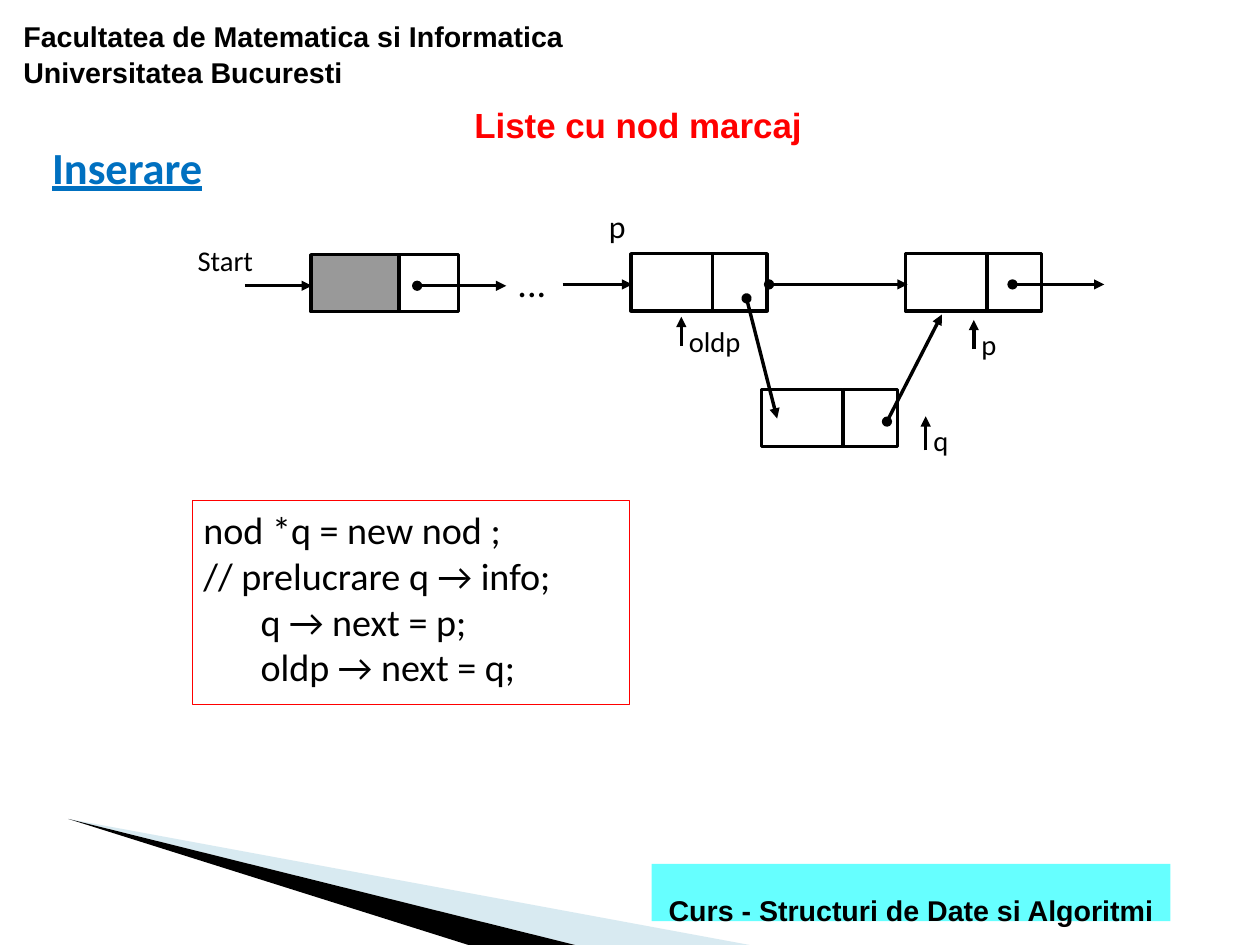
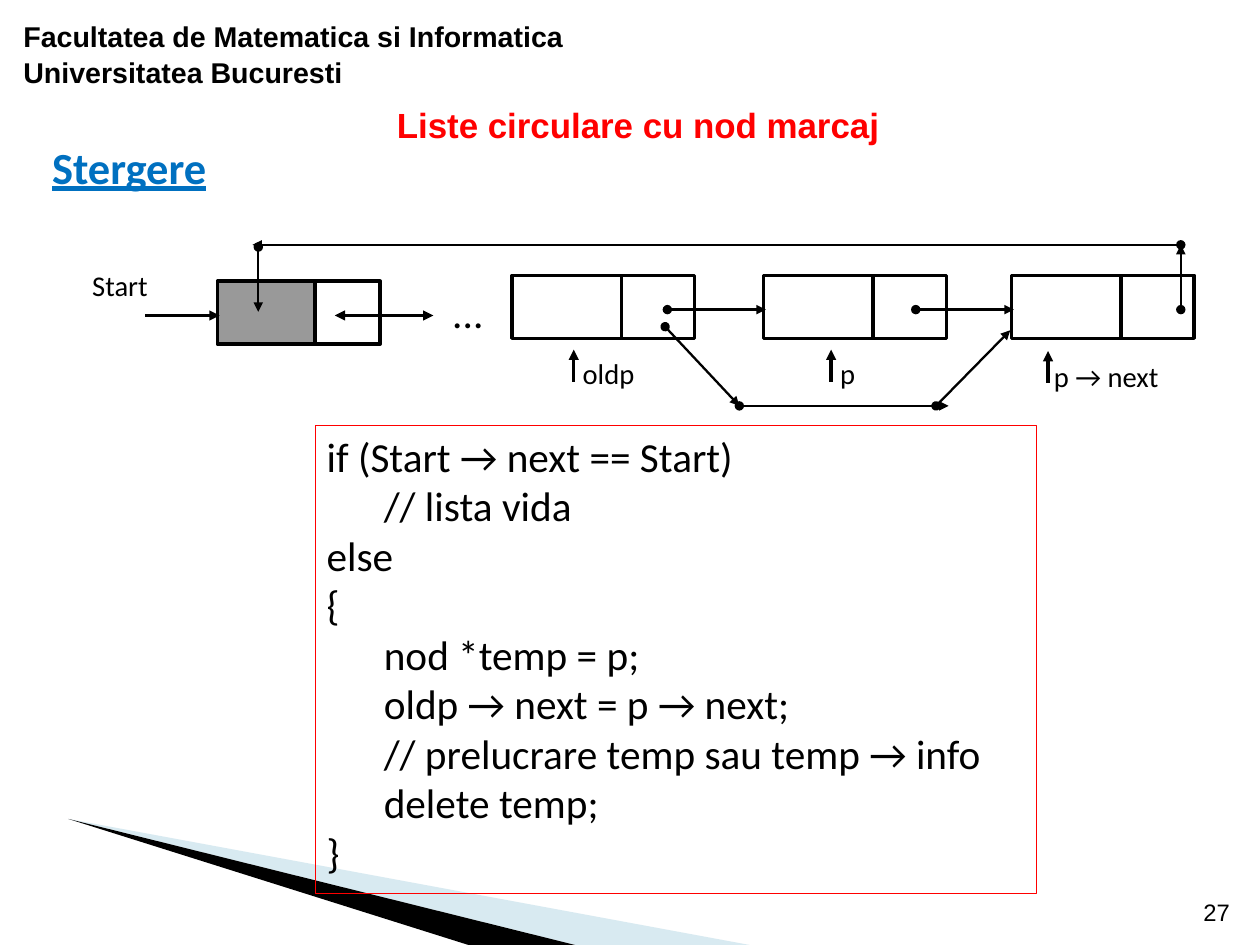
from dataclasses import dataclass
from typing import Optional

from lxml.etree import SubElement
from pptx import Presentation
from pptx.dml.color import RGBColor
from pptx.enum.shapes import MSO_CONNECTOR, MSO_SHAPE
from pptx.enum.text import MSO_ANCHOR, MSO_AUTO_SIZE, PP_ALIGN
from pptx.oxml.ns import qn
from pptx.util import Cm, Pt

BLACK = "000000"
RED = "FF0000"
BLUE = "0070C0"
GREY = "999999"
AQUA = "66FFFF"
PALE_BLUE = "9FCBDC"
HEADING_FONT = "Arial"
BODY_FONT = "Calibri"
THICK = 2.15
THIN = 1.45
APEX = (1.52, 18.2)


@dataclass(frozen=True)
class Style:
    size: float
    font: str = BODY_FONT
    color: str = BLACK
    bold: bool = False
    underline: bool = False
    align: PP_ALIGN = PP_ALIGN.LEFT
    spacing: Optional[float] = None
    anchor: MSO_ANCHOR = MSO_ANCHOR.TOP
    inset: tuple[float, float] = (0.25, 0.13)


@dataclass(frozen=True)
class Node:
    left: float
    top: float
    info: float
    link: float
    height: float
    fill: Optional[str] = None


@dataclass(frozen=True)
class Arrow:
    start: tuple[float, float]
    end: tuple[float, float]
    head: Optional[str] = "oval"
    weight: float = THICK


@dataclass(frozen=True)
class Label:
    text: str
    left: float
    top: float
    size: float = 18


@dataclass(frozen=True)
class Pointer:
    text: str
    x: float
    tip: float
    length: float
    shift: float = -0.08
    drop: float = 0.02


@dataclass(frozen=True)
class Code:
    box: tuple[float, float, float, float]
    size: float
    lines: tuple[str, ...]


@dataclass(frozen=True)
class Lesson:
    title: str
    operation: str
    nodes: tuple[Node, ...]
    arrows: tuple[Arrow, ...]
    labels: tuple[Label, ...]
    pointers: tuple[Pointer, ...]
    code: Code


FACULTY = Style(18, HEADING_FONT, bold=True, spacing=1.04, inset=(0.28, 0.15))
TITLE = Style(22, HEADING_FONT, RED, True, align=PP_ALIGN.CENTER, spacing=1.04, inset=(0, 0.03))
OPERATION = Style(28, color=BLUE, bold=True, underline=True, anchor=MSO_ANCHOR.MIDDLE)
COURSE = Style(18, HEADING_FONT, bold=True, align=PP_ALIGN.CENTER, spacing=2, anchor=MSO_ANCHOR.MIDDLE)
NUMBER = Style(15, HEADING_FONT, align=PP_ALIGN.RIGHT, spacing=1.04,
               anchor=MSO_ANCHOR.BOTTOM, inset=(0.28, 0.15))


def rgb(value: str) -> RGBColor:
    return RGBColor.from_string(value)


def write(shape, lines: tuple[str, ...], style: Style) -> None:
    frame = shape.text_frame
    frame.word_wrap = True
    frame.auto_size = MSO_AUTO_SIZE.NONE
    frame.vertical_anchor = style.anchor
    frame.margin_left = frame.margin_right = Cm(style.inset[0])
    frame.margin_top = frame.margin_bottom = Cm(style.inset[1])
    for index, line in enumerate(lines):
        paragraph = frame.add_paragraph() if index else frame.paragraphs[0]
        paragraph.text = line.lstrip()
        paragraph.alignment = style.align
        if style.spacing:
            paragraph.line_spacing = style.spacing
        if line.startswith("\t"):
            paragraph._p.get_or_add_pPr().set("marL", str(Cm(1.27)))
        font = paragraph.font
        font.name = style.font
        font.size = Pt(style.size)
        font.bold = style.bold
        font.underline = style.underline
        font.color.rgb = rgb(style.color)


def add_text(slide, text: str, box: tuple[float, ...], style: Style) -> None:
    write(slide.shapes.add_textbox(*map(Cm, box)), (text,), style)


def add_box(slide, box: tuple[float, ...], fill: Optional[str] = None,
            line: Optional[str] = BLACK, weight: float = THICK):
    shape = slide.shapes.add_shape(MSO_SHAPE.RECTANGLE, *map(Cm, box))
    shape.shadow.inherit = False
    if fill:
        shape.fill.solid()
        shape.fill.fore_color.rgb = rgb(fill)
    else:
        shape.fill.background()
    if line:
        shape.line.color.rgb = rgb(line)
        shape.line.width = Pt(weight)
    else:
        shape.line.fill.background()
    return shape


def add_wedge(slide, right: float, left: float, color: str, opacity: int = 100) -> None:
    builder = slide.shapes.build_freeform(*map(Cm, APEX))
    builder.add_line_segments([(Cm(right), Cm(21)), (Cm(left), Cm(21))])
    wedge = builder.convert_to_shape()
    wedge.shadow.inherit = False
    wedge.line.fill.background()
    wedge.fill.solid()
    wedge.fill.fore_color.rgb = rgb(color)
    if opacity < 100:
        tint = wedge._element.spPr.find(f".//{qn('a:srgbClr')}")
        SubElement(tint, qn("a:alpha"), val=str(opacity * 1000))


def add_node(slide, node: Node) -> None:
    add_box(slide, (node.left, node.top, node.info, node.height), node.fill)
    add_box(slide, (node.left + node.info, node.top, node.link, node.height))


def add_arrow(slide, arrow: Arrow) -> None:
    connector = slide.shapes.add_connector(
        MSO_CONNECTOR.STRAIGHT, *map(Cm, arrow.start + arrow.end))
    connector.line.color.rgb = rgb(BLACK)
    connector.line.width = Pt(arrow.weight)
    properties = connector._element.spPr
    outline = properties.find(qn("a:ln"))
    if arrow.head:
        SubElement(outline, qn("a:headEnd"), type=arrow.head)
    SubElement(outline, qn("a:tailEnd"), type="triangle")
    SubElement(properties, qn("a:effectLst"))


def add_label(slide, label: Label) -> None:
    width = 0.9 + 0.4 * len(label.text)
    add_text(slide, label.text, (label.left, label.top, width, 1), Style(label.size))


def add_pointer(slide, pointer: Pointer) -> None:
    add_arrow(slide, Arrow((pointer.x, pointer.tip + pointer.length), (pointer.x, pointer.tip), None))
    add_label(slide, Label(pointer.text, pointer.x + pointer.shift, pointer.tip + pointer.drop))


def add_lesson(deck, lesson: Lesson):
    slide = deck.slides.add_slide(deck.slide_layouts[5])
    title = slide.shapes.title
    title.left, title.top, title.width, title.height = map(Cm, (2.5, 2.24, 23.36, 1.02))
    write(title, (lesson.title,), TITLE)
    add_wedge(slide, 16.66, 12.78, PALE_BLUE, 40)
    add_wedge(slide, 12.78, 10.41, BLACK)
    add_text(slide, "Facultatea de Matematica si Informatica Universitatea Bucuresti",
             (0.24, 0.24, 14, 1.85), FACULTY)
    add_text(slide, lesson.operation, (0.91, 2.97, 7.98, 1.45), OPERATION)
    for node in lesson.nodes:
        add_node(slide, node)
    for arrow in lesson.arrows:
        add_arrow(slide, arrow)
    for label in lesson.labels:
        add_label(slide, label)
    for pointer in lesson.pointers:
        add_pointer(slide, pointer)
    code = add_box(slide, lesson.code.box, line=RED, weight=0.75)
    write(code, lesson.code.lines, Style(lesson.code.size))
    return slide


INSERTION = Lesson(
    "Liste cu nod marcaj",
    "Inserare",
    nodes=(
        Node(6.91, 5.66, 1.96, 1.32, 1.27, GREY),
        *(Node(left, top, 1.81, 1.22, 1.27)
          for left, top in ((14.02, 5.64), (20.12, 5.64), (16.92, 8.66))),
    ),
    arrows=(
        Arrow((5.44, 6.35), (6.93, 6.35), None),
        Arrow((9.27, 6.35), (11.25, 6.35)),
        Arrow((12.5, 6.32), (14.05, 6.32), None),
        Arrow((17.09, 6.32), (20.17, 6.32)),
        Arrow((22.5, 6.32), (24.54, 6.32)),
        Arrow((16.59, 6.63), (17.27, 9.3)),
        Arrow((19.71, 9.37), (20.93, 6.99)),
    ),
    labels=(Label("Start", 4.14, 5.26), Label("...", 11.25, 5.64, 24), Label("p", 13.28, 4.47, 20)),
    pointers=(
        Pointer("oldp", 15.14, 7.04, 0.65),
        Pointer("p", 21.64, 7.11, 0.65),
        Pointer("q", 20.57, 9.25, 0.76),
    ),
    code=Code((4.27, 11.13, 9.73, 4.52), 24, (
        "nod *q = new nod ;",
        "// prelucrare q → info;",
        "\tq → next = p;",
        "\toldp → next = q;",
    )),
)

DELETION = Lesson(
    "Liste circulare cu nod marcaj",
    "Stergere",
    nodes=(
        Node(4.83, 6.25, 2.17, 1.45, 1.4, GREY),
        *(Node(left, 6.12, 2.43, 1.63, 1.4) for left in (11.38, 16.97, 22.48)),
    ),
    arrows=(
        Arrow((3.23, 7.01), (4.88, 7.01), None),
        Arrow((7.44, 7.01), (9.63, 7.01), "triangle"),
        *(Arrow(start, end, weight=THIN) for start, end in (
            ((14.83, 6.88), (17.02, 6.88)),
            ((20.35, 6.88), (22.53, 6.88)),
            ((14.78, 7.26), (16.43, 9.02)),
            ((16.43, 9.02), (21.08, 9.02)),
            ((20.8, 9.02), (22.45, 7.34)),
            ((26.24, 6.88), (26.24, 5.44)),
            ((26.24, 5.44), (5.61, 5.44)),
            ((5.74, 5.49), (5.74, 6.93)),
        )),
    ),
    labels=(Label("Start", 1.8, 5.82), Label("...", 9.8, 6.25, 26)),
    pointers=(
        Pointer("oldp", 12.75, 7.77, 0.71, -0.05),
        Pointer("p", 18.47, 7.77, 0.71, -0.05),
        Pointer("p → next", 23.29, 7.8, 0.71, -0.12, 0.05),
    ),
    code=Code((7.01, 9.45, 16.03, 10.41), 26, (
        "if (Start → next == Start)",
        "\t// lista vida",
        "else",
        "{",
        "\tnod *temp = p;",
        "\toldp → next = p → next;",
        "\t// prelucrare temp sau temp → info",
        "\tdelete temp;",
        "}",
    )),
)

deck = Presentation()
deck.slide_width, deck.slide_height = Cm(28), Cm(21)

insertion = add_lesson(deck, INSERTION)
course_band = add_box(insertion, (14.48, 19.2, 11.53, 1.27), AQUA, None)
write(course_band, ("Curs - Structuri de Date si Algoritmi",), COURSE)

deletion = add_lesson(deck, DELETION)
add_text(deletion, "27", (25.4, 19.61, 2.21, 1.12), NUMBER)

deck.save("out.pptx")
